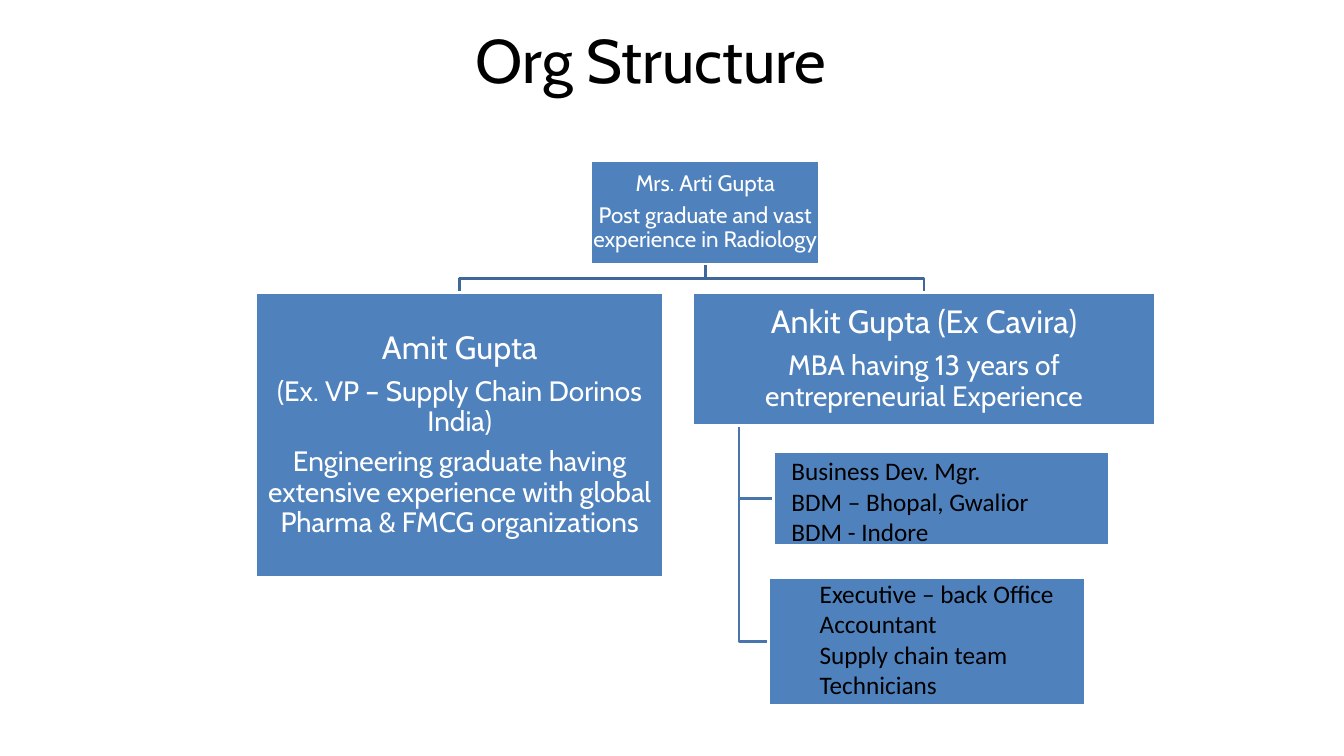
from dataclasses import dataclass

from pptx import Presentation
from pptx import util as u
from pptx.dml import color
from pptx.enum import shapes, text


@dataclass(frozen=True)
class Theme:
    """Colours, fonts and type sizes of the deck."""
    black: str = "000000"
    white: str = "FFFFFF"
    box: str = "4F81BD"
    upper_line: str = "3F6797"
    lower_line: str = "4875AC"
    heading_font: str = "Cabin"
    list_font: str = "Calibri"
    title: int = 44
    name: int = 23
    detail: int = 20
    lead: int = 16
    team: int = 18
    stroke: int = 2


@dataclass(frozen=True)
class Box:
    """A rectangle in inches."""
    left: float
    top: float
    width: float
    height: float

    @property
    def centre(self):
        """Return the horizontal centre."""
        return self.left + self.width / 2

    @property
    def middle(self):
        """Return the vertical centre."""
        return self.top + self.height / 2

    @property
    def bottom(self):
        """Return the lower edge."""
        return self.top + self.height

    def lengths(self):
        """Return left, top, width and height as lengths."""
        return [u.Inches(side) for side in (self.left, self.top, self.width, self.height)]


THEME = Theme()


def rgb(code):
    """Turn a hex code into a colour."""
    return color.RGBColor.from_string(code)


def write(frame, lines, font, ink, align=text.PP_ALIGN.LEFT, anchor=text.MSO_ANCHOR.TOP,
          margins=(0, 0, 0, 0), line_spacing=1.0, gap=0):
    """Fill a frame with (wording, size) lines; gap is a share of the size."""
    frame.word_wrap = True
    frame.auto_size = text.MSO_AUTO_SIZE.NONE
    frame.vertical_anchor = anchor
    frame.margin_left, frame.margin_top, frame.margin_right, frame.margin_bottom = map(u.Inches, margins)
    for index, (wording, size) in enumerate(lines):
        para = frame.add_paragraph() if index else frame.paragraphs[0]
        para.alignment = align
        para.line_spacing = line_spacing
        para.space_before = u.Pt(0)
        para.space_after = u.Pt(size * gap)
        span = para.add_run()
        span.text = wording
        span.font.name = font
        span.font.size = u.Pt(size)
        span.font.color.rgb = rgb(ink)


def add_box(page, box):
    """Add a blue rectangle with a white edge and return its text frame."""
    shape = page.shapes.add_shape(shapes.MSO_SHAPE.RECTANGLE, *box.lengths())
    shape.shadow.inherit = False
    shape.fill.solid()
    shape.fill.fore_color.rgb = rgb(THEME.box)
    shape.line.color.rgb = rgb(THEME.white)
    shape.line.width = u.Pt(THEME.stroke)
    return shape.text_frame


def add_person(page, box, lines, margin):
    """Add a box for a person with centred wording."""
    write(add_box(page, box), lines, THEME.heading_font, THEME.white,
          align=text.PP_ALIGN.CENTER, anchor=text.MSO_ANCHOR.MIDDLE,
          margins=(margin,) * 4, line_spacing=0.9, gap=0.35)


def add_team(page, box, roles, indent, top):
    """Add a box listing the roles of a team."""
    write(add_box(page, box), [(role, THEME.team) for role in roles],
          THEME.list_font, THEME.black, margins=(indent, top, 0, 0))


def add_branch(page, points, ink):
    """Draw an open line through points given in inches."""
    start, *rest = [(u.Inches(x), u.Inches(y)) for x, y in points]
    builder = page.shapes.build_freeform(*start)
    builder.add_line_segments(rest, close=False)
    branch = builder.convert_to_shape()
    branch.shadow.inherit = False
    branch.fill.background()
    branch.line.color.rgb = rgb(ink)
    branch.line.width = u.Pt(THEME.stroke)


def add_title(page, box):
    """Place and fill the title."""
    title = page.shapes.title
    title.left, title.top, title.width, title.height = box.lengths()
    write(title.text_frame, [("Org Structure", THEME.title)],
          THEME.heading_font, THEME.black, margins=(0.64, 0, 0, 0))


def add_chart_of_people(page, area):
    """Place the people, their teams and the branches between them in an area."""
    def within(left, top, width, height):
        return Box(area.left + left, area.top + top, width, height)

    lead = within(3.32, 0, 2.27, 1.03)
    supply = within(0, 1.31, 4.04, 2.83)
    business = within(4.33, 1.31, 4.59, 1.32)
    sales = within(5.13, 2.89, 3.33, 0.93)
    office = within(5.08, 4.14, 3.15, 1.27)

    trunk = business.left + business.width / 10
    for team in (office, sales):
        add_branch(page, [(trunk, business.bottom), (trunk, team.middle),
                          (team.left, team.middle)], THEME.lower_line)
    fork = (lead.bottom + business.top) / 2
    for person in (business, supply):
        add_branch(page, [(lead.centre, lead.bottom), (lead.centre, fork),
                          (person.centre, fork), (person.centre, person.top)], THEME.upper_line)

    add_person(page, lead, [
        ("Mrs. Arti Gupta", THEME.lead),
        ("Post graduate and vast experience in Radiology", THEME.lead)], 0.01)
    add_person(page, supply, [
        ("Amit Gupta", THEME.name),
        ("(Ex. VP – Supply Chain Dorinos India)", THEME.detail),
        ("Engineering graduate having extensive experience with global "
         "Pharma & FMCG organizations", THEME.detail)], 0.02)
    add_person(page, business, [
        ("Ankit Gupta (Ex Cavira)", THEME.name),
        ("MBA having 13 years of entrepreneurial Experience", THEME.detail)], 0.02)
    add_team(page, sales, ["Business Dev. Mgr.", "BDM – Bhopal, Gwalior", "BDM - Indore"], 0.18, 0.04)
    add_team(page, office, ["Executive – back Office", "Accountant",
                            "Supply chain team", "Technicians"], 0.51, 0.01)


def main():
    """Build and save the deck."""
    deck = Presentation()
    deck.slide_width, deck.slide_height = u.Inches(13.33), u.Inches(7.5)
    page = deck.slides.add_slide(deck.slide_layouts[5])
    add_title(page, Box(4.08, 0.22, 5.47, 0.76))
    add_chart_of_people(page, Box(2.54, 1.59, 8.92, 5.41))
    deck.save("out.pptx")


if __name__ == "__main__":
    main()
